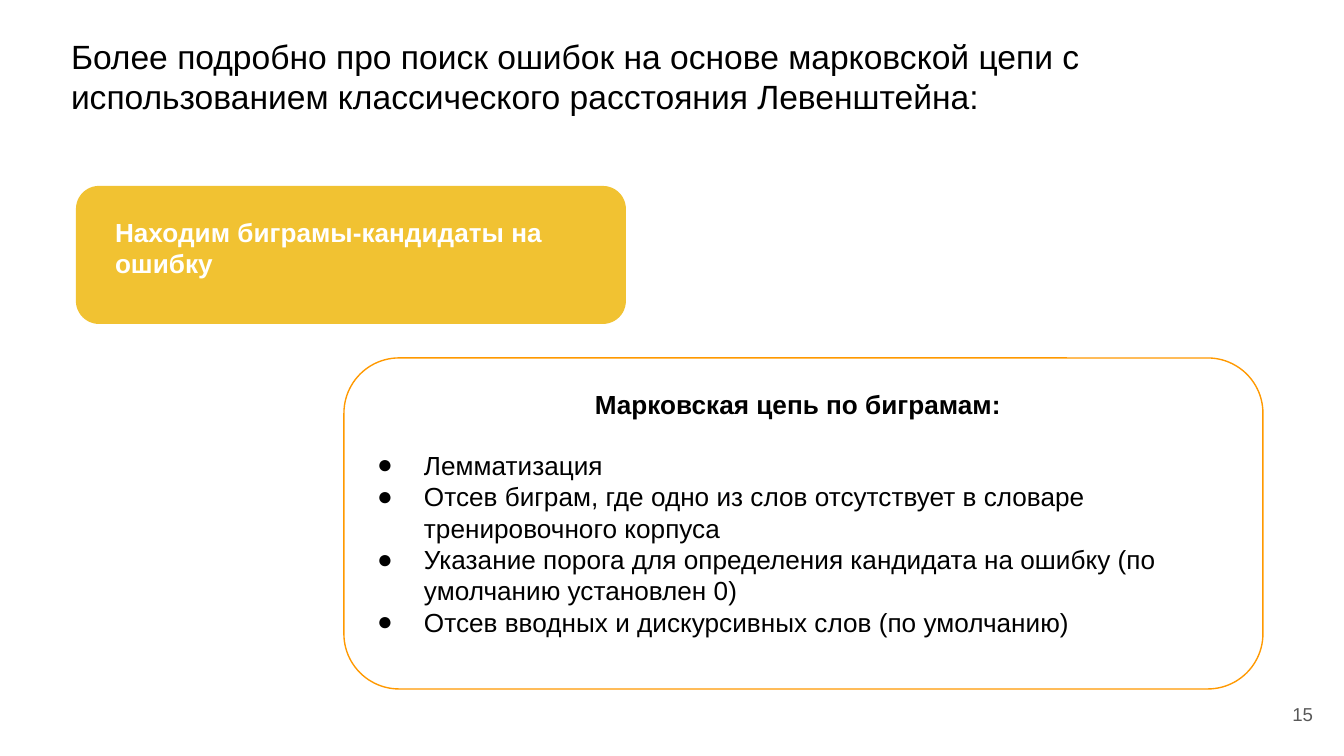
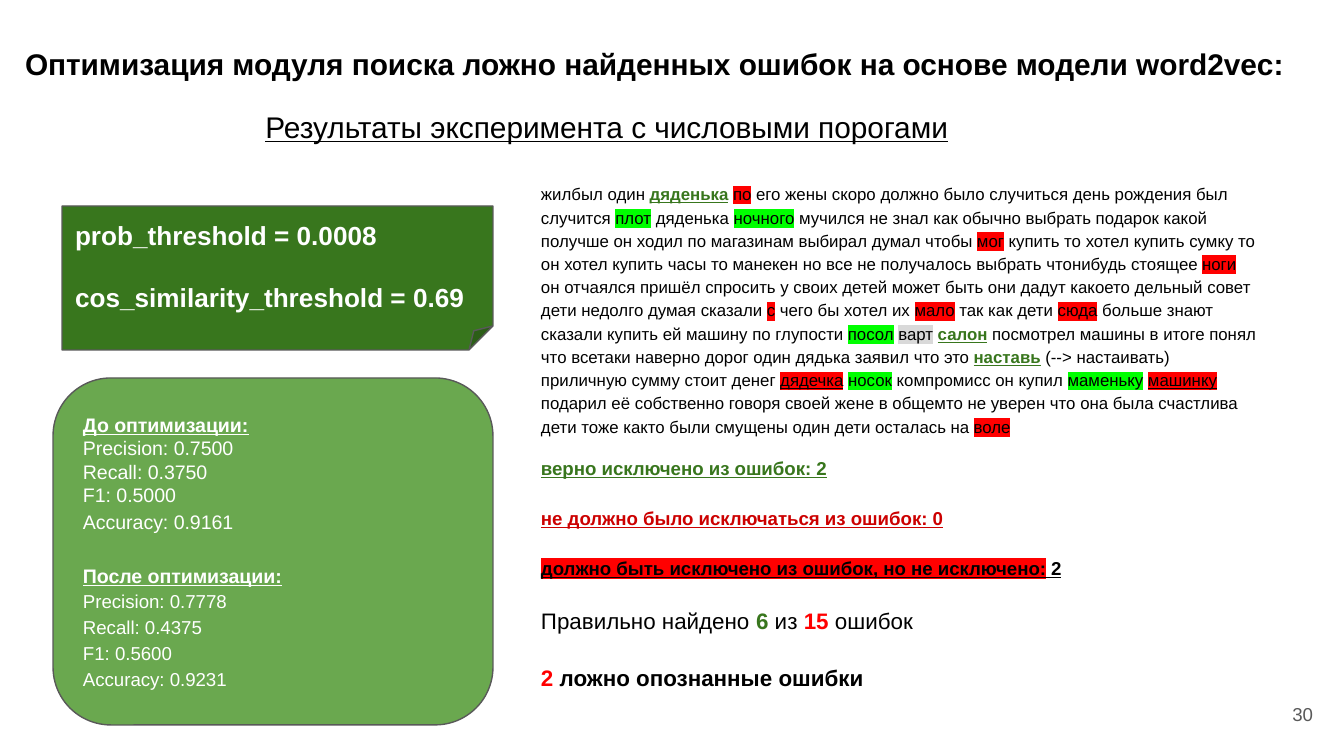
from dataclasses import dataclass

import lxml.etree
import pptx
import pptx.dml.color
import pptx.enum.shapes
import pptx.enum.text
import pptx.oxml.ns
import pptx.util

SLIDE_W, SLIDE_H = 1344, 756
EMU_PER_PX = 9144000 / SLIDE_W
INSET = 13
FONT = "Arial"

BLACK, WHITE, GRAY = "000000", "FFFFFF", "595959"
YELLOW, ORANGE = "F1C232", "FF9900"
DARK_GREEN, GREEN, LIME = "38761D", "6AA84F", "00FF00"
RED, DARK_RED, LIGHT_GRAY = "FF0000", "CC0000", "D9D9D9"

SHAPES = pptx.enum.shapes.MSO_SHAPE
ALIGN = pptx.enum.text.PP_ALIGN
ANCHOR = pptx.enum.text.MSO_ANCHOR

# Inline styles, written in a text as {key|words}
MARKS = {
    "excluded": {"color": DARK_GREEN, "bold": True, "underline": True},
    "missed": {"highlight": RED},
    "false": {"highlight": RED, "underline": True},
    "found": {"highlight": LIME},
    "other": {"highlight": LIGHT_GRAY},
    "good": {"color": DARK_GREEN, "bold": True},
    "bad": {"color": RED, "bold": True},
}

SAMPLE_LINES = (
    "жилбыл один {excluded|дяденька} {missed|по} его жены скоро должно было",
    "случиться день рождения был случится {found|плот} дяденька {found|ночного}",
    "мучился не знал как обычно выбрать подарок какой получше он ходил по",
    "магазинам выбирал думал чтобы {missed|мог} купить то хотел купить сумку то",
    "он хотел купить часы то манекен но все не получалось выбрать чтонибудь",
    "стоящее {missed|ноги} он отчаялся пришёл спросить у своих детей может быть",
    "они дадут какоето дельный совет дети недолго думая сказали {missed|с} чего",
    "бы хотел их {missed|мало} так как дети {missed|сюда} больше знают сказали",
    "купить ей машину по глупости {found|посол} {other|варт} {excluded|салон}",
    "посмотрел машины в итоге понял что всетаки наверно дорог один дядька заявил",
    "что это {excluded|наставь} (--> настаивать) приличную сумму стоит денег",
    "{false|дядечка} {found|носок} компромисс он купил {found|маменьку}",
    "{false|машинку} подарил её собственно говоря своей жене в общемто не уверен",
    "что она была счастлива дети тоже както были смущены один дети осталась на",
    "{missed|воле}",
)


@dataclass
class Para:
    text: str
    size: float
    color: str = BLACK
    bold: bool = False
    underline: bool = False
    align: ALIGN = ALIGN.LEFT
    line: float = 1.0
    before: float = 0
    after: float = 0
    bullet: bool = False


def px(n):
    return pptx.util.Emu(round(n * EMU_PER_PX))


def rgb(color):
    return pptx.dml.color.RGBColor.from_string(color)


def add_xml(parent, tag, **attrs):
    return lxml.etree.SubElement(parent, pptx.oxml.ns.qn(tag), attrs)


def split_marks(text):
    """Yield (words, overrides) for a text with {key|words} marks."""
    for chunk in text.split("{"):
        marked, closed, plain = chunk.rpartition("}")
        if closed:
            key, _, words = marked.partition("|")
            yield words, MARKS[key]
        if plain:
            yield plain, {}


def add_run(p, words, size, color, bold, underline, highlight=None):
    r = p.add_run()
    r.text = words
    font = r.font
    font.size = pptx.util.Pt(size)
    font.bold = bold
    font.underline = underline
    font.color.rgb = rgb(color)
    if highlight:
        # a:highlight has to come between the fill and the font name
        mark = add_xml(r._r.get_or_add_rPr(), "a:highlight")
        add_xml(mark, "a:srgbClr", val=highlight)
    font.name = FONT


def set_bullet(p, bullet):
    pPr = p._p.get_or_add_pPr()
    pPr.set("marL", str(px(67 if bullet else 0)))
    pPr.set("indent", str(px(-47 if bullet else 0)))
    if bullet:
        add_xml(add_xml(pPr, "a:buClr"), "a:srgbClr", val=BLACK)
        add_xml(pPr, "a:buFont", typeface=FONT)
        add_xml(pPr, "a:buChar", char="●")
    else:
        add_xml(pPr, "a:buNone")


def write(tf, paras, anchor=ANCHOR.TOP):
    tf.word_wrap = True
    tf.auto_size = pptx.enum.text.MSO_AUTO_SIZE.NONE
    tf.vertical_anchor = anchor
    tf.margin_left = tf.margin_right = tf.margin_top = tf.margin_bottom = px(INSET)
    for i, para in enumerate(paras):
        p = tf.add_paragraph() if i else tf.paragraphs[0]
        p.alignment = para.align
        p.line_spacing = para.line
        p.space_before = pptx.util.Pt(para.before)
        p.space_after = pptx.util.Pt(para.after)
        set_bullet(p, para.bullet)
        for words, overrides in split_marks(para.text):
            style = {"size": para.size, "color": para.color, "bold": para.bold,
                     "underline": para.underline, **overrides}
            add_run(p, words, **style)


def fill_placeholder(sp, box, paras):
    sp.left, sp.top, sp.width, sp.height = map(px, box)
    write(sp.text_frame, paras)


def add_text(slide, box, paras, anchor=ANCHOR.TOP):
    sp = slide.shapes.add_textbox(*map(px, box))
    write(sp.text_frame, paras, anchor)


def add_panel(slide, kind, box, fill=None, line=None, paras=()):
    sp = slide.shapes.add_shape(kind, *map(px, box))
    sp.shadow.inherit = False
    if fill:
        sp.fill.solid()
        sp.fill.fore_color.rgb = rgb(fill)
    else:
        sp.fill.background()
    if line:
        sp.line.color.rgb = rgb(line)
        sp.line.width = pptx.util.Pt(0.75)
    else:
        sp.line.fill.background()
    if paras:
        write(sp.text_frame, paras, ANCHOR.MIDDLE)


def add_slide(prs, number, title_box, title, body_box, body):
    """Add a slide with title, body and page number."""
    slide = prs.slides.add_slide(prs.slide_layouts[1])
    fill_placeholder(slide.shapes.title, title_box, [title])
    fill_placeholder(slide.placeholders[1], body_box, body)
    add_text(slide, (1246, 685, 80, 58),
             [Para(str(number), 10, GRAY, align=ALIGN.RIGHT)], ANCHOR.MIDDLE)
    return slide


def scores(heading, values, heading_before=0, **style):
    names = ("Precision", "Recall", "F1", "Accuracy")
    return [Para(heading, 10.5, WHITE, bold=True, underline=True,
                 before=heading_before, line=style.get("line", 1.0))] + [
        Para(f"{name}: {value}", color=WHITE, **style)
        for name, value in zip(names, values)]


def build_search_slide(prs):
    items = (
        "Лемматизация",
        "Отсев биграм, где одно из слов отсутствует в словаре тренировочного корпуса",
        "Указание порога для определения кандидата на ошибку (по умолчанию установлен 0)",
        "Отсев вводных и дискурсивных слов (по умолчанию)",
    )
    heading = Para("Марковская цепь по биграмам:", 14, bold=True,
                   align=ALIGN.CENTER, after=16)
    title = Para("Более подробно про поиск ошибок на основе марковской цепи с "
                 "использованием классического расстояния Левенштейна:", 18)
    slide = add_slide(prs, 15, (58, 23, 1240, 113), title, (344, 375, 908, 314),
                      [heading] + [Para(item, 14, bullet=True) for item in items])
    add_panel(slide, SHAPES.FLOWCHART_ALTERNATE_PROCESS, (76, 186, 550, 138), YELLOW)
    add_text(slide, (102, 203, 497, 104),
             [Para("Находим биграмы-кандидаты на ошибку", 14, WHITE, bold=True)])
    add_panel(slide, SHAPES.ROUNDED_RECTANGLE, (344, 358, 919, 331), line=ORANGE)


def build_results_slide(prs):
    title = Para("Оптимизация модуля поиска ложно найденных ошибок на основе "
                 "модели word2vec:", 16, bold=True, line=1.15)
    subtitle = Para("Результаты эксперимента с числовыми порогами", 16,
                    underline=True, align=ALIGN.CENTER, line=1.15)
    slide = add_slide(prs, 30, (12, 27, 1294, 85), title,
                      (165, 90, 884, 58), [subtitle])

    add_panel(slide, SHAPES.FOLDED_CORNER, (62, 206, 431, 144), DARK_GREEN, GRAY, [
        Para("prob_threshold = 0.0008", 14, WHITE, bold=True, after=16),
        Para("cos_similarity_threshold = 0.69", 14, WHITE, bold=True),
    ])

    legend = {"bold": True, "underline": True, "line": 1.15}
    add_text(slide, (528, 168, 743, 564), [
        Para(" ".join(SAMPLE_LINES), 9, line=1.15),
        Para("верно исключено из ошибок: 2", 10, DARK_GREEN, before=9, **legend),
        Para("не должно было исключаться из ошибок: 0", 10, DARK_RED,
             before=13, **legend),
        Para("{missed|должно быть исключено из ошибок, но не исключено:} 2", 10,
             before=13, **legend),
        Para("Правильно найдено {good|6} из {bad|15} ошибок", 12, before=15),
        Para("{bad|2 }ложно опознанные ошибки", 12, bold=True, before=16),
    ])

    before = scores("До оптимизации:", ("0.7500", "0.3750", "0.5000", "0.9161"),
                    size=10.5)
    before[-1].line = 1.15
    after = scores("После оптимизации:", ("0.7778", "0.4375", "0.5600", "0.9231"),
                   heading_before=14, size=10, line=1.15)
    add_panel(slide, SHAPES.ROUNDED_RECTANGLE, (53, 378, 440, 347), GREEN, GRAY,
              before + after)


def main():
    prs = pptx.Presentation()
    prs.slide_width, prs.slide_height = px(SLIDE_W), px(SLIDE_H)
    build_search_slide(prs)
    build_results_slide(prs)
    prs.save("out.pptx")


if __name__ == "__main__":
    main()
